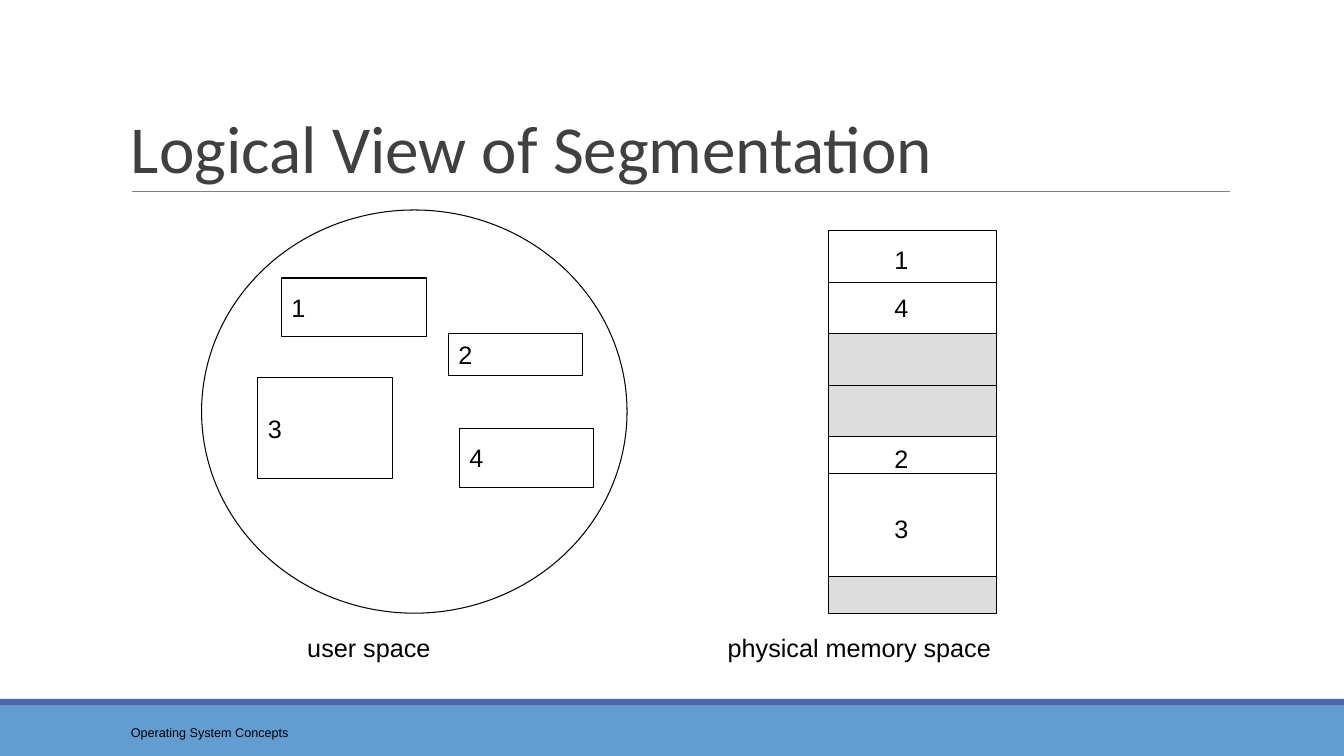
from lxml.etree import SubElement as Sub
from pptx import Presentation as Deck
from pptx.dml.color import RGBColor as Rgb
from pptx.enum.shapes import MSO_CONNECTOR as Link, MSO_SHAPE as Form
from pptx.enum.text import MSO_ANCHOR as Anchor, MSO_AUTO_SIZE as Auto, PP_ALIGN as Align
from pptx.oxml.ns import qn
from pptx.util import Inches, Pt

COLS, ROWS = 160, 90
BLACK, WHITE, GREY = "000000", "FFFFFF", "DDDDDD"


def hue(code):
    return Rgb.from_string(code)


def write(shape, text, size=18, font="Arial", color=BLACK, anchor=Anchor.MIDDLE,
          space=None, grow=False):
    frame = shape.text_frame
    frame.word_wrap = True
    frame.vertical_anchor = anchor
    frame.auto_size = Auto.SHAPE_TO_FIT_TEXT if grow else Auto.NONE
    para = frame.paragraphs[0]
    para.alignment = Align.LEFT
    para.line_spacing = space
    run = para.add_run()
    run.text = text
    run.font.size = Pt(size)
    run.font.name = font
    run.font.color.rgb = hue(color)


class Board:
    """Draws styled elements on a slide, measured in grid columns and rows."""

    def __init__(self, deck):
        self.wide = deck.slide_width / COLS
        self.high = deck.slide_height / ROWS
        self.slide = deck.slides.add_slide(deck.slide_layouts[6])
        self.home = self.slide.shapes

    def group(self):
        self.home = self.slide.shapes.add_group_shape().shapes

    def leave(self):
        self.home = self.slide.shapes

    def place(self, x, y, w, h):
        return [round(n) for n in (x * self.wide, y * self.high, w * self.wide, h * self.high)]

    def box(self, x, y, w, h, text="", fill=WHITE, line=BLACK, form=Form.RECTANGLE):
        shape = self.home.add_shape(form, *self.place(x, y, w, h))
        shape.shadow.inherit = False
        shape.fill.solid()
        shape.fill.fore_color.rgb = hue(fill)
        if line:
            shape.line.color.rgb = hue(line)
            shape.line.width = Pt(0.75)
        else:
            shape.line.fill.background()
        if text:
            write(shape, text)

    def rule(self, x, y, w, color=BLACK):
        left, top, span, _ = self.place(x, y, w, 0)
        line = self.home.add_connector(Link.STRAIGHT, left, top, left + span, top)
        line.line.color.rgb = hue(color)
        line.line.width = Pt(0.75)
        Sub(line._element.spPr, qn("a:effectLst"))

    def label(self, x, y, w, h, text, **style):
        write(self.home.add_textbox(*self.place(x, y, w, h)), text, **style)


def frame(board):
    board.box(0, 84, COLS, 6, fill="629DD1", line=None)
    board.box(0, 83.2, COLS, 0.8, fill="4A66AC", line=None)
    board.rule(15.72, 22.8, 130.7, "7F7F7F")
    board.label(14.4, 84.75, 32.4, 4.8, "Operating System Concepts", size=9)
    board.label(14.4, 3.75, 132, 19.1, "Logical View of Segmentation", size=48,
                font="Calibri", color="404040", anchor=Anchor.BOTTOM, space=0.85)


def user(board):
    board.box(24, 25, 50.65, 48, form=Form.OVAL)
    for text, *spot in (("1", 33.5, 33.1, 17.3, 7), ("3", 30.7, 45, 16, 12),
                        ("2", 53.4, 39.7, 16, 5), ("4", 54.7, 51, 16, 7)):
        board.box(*spot, text)


def memory(board):
    left, top, wide = 98.65, 27.45, 20
    unit, slim = 6.13, 4.43
    board.group()
    for parts, fill in (((unit, unit), WHITE), ((unit, unit), GREY),
                        ((slim, 2 * unit), WHITE), ((slim,), GREY)):
        board.box(left, top, wide, sum(parts), fill=fill)
        if len(parts) > 1:
            board.rule(left, top + parts[0], wide)
        top += sum(parts)
    for text, row in (("1", 28.8), ("4", 34.45), ("2", 52.45), ("3", 60.85)):
        board.label(105.3, row, 4.1, 4.2, text, grow=True)
    board.leave()


def main():
    deck = Deck()
    deck.slide_width, deck.slide_height = Inches(13.33), Inches(7.5)
    board = Board(deck)
    frame(board)
    user(board)
    memory(board)
    for text, col, wide in (("user space", 35.4, 18.1), ("physical memory space", 85.45, 34.1)):
        board.label(col, 74.65, wide, 4.8, text, grow=True)
    deck.save("out.pptx")


if __name__ == "__main__":
    main()
